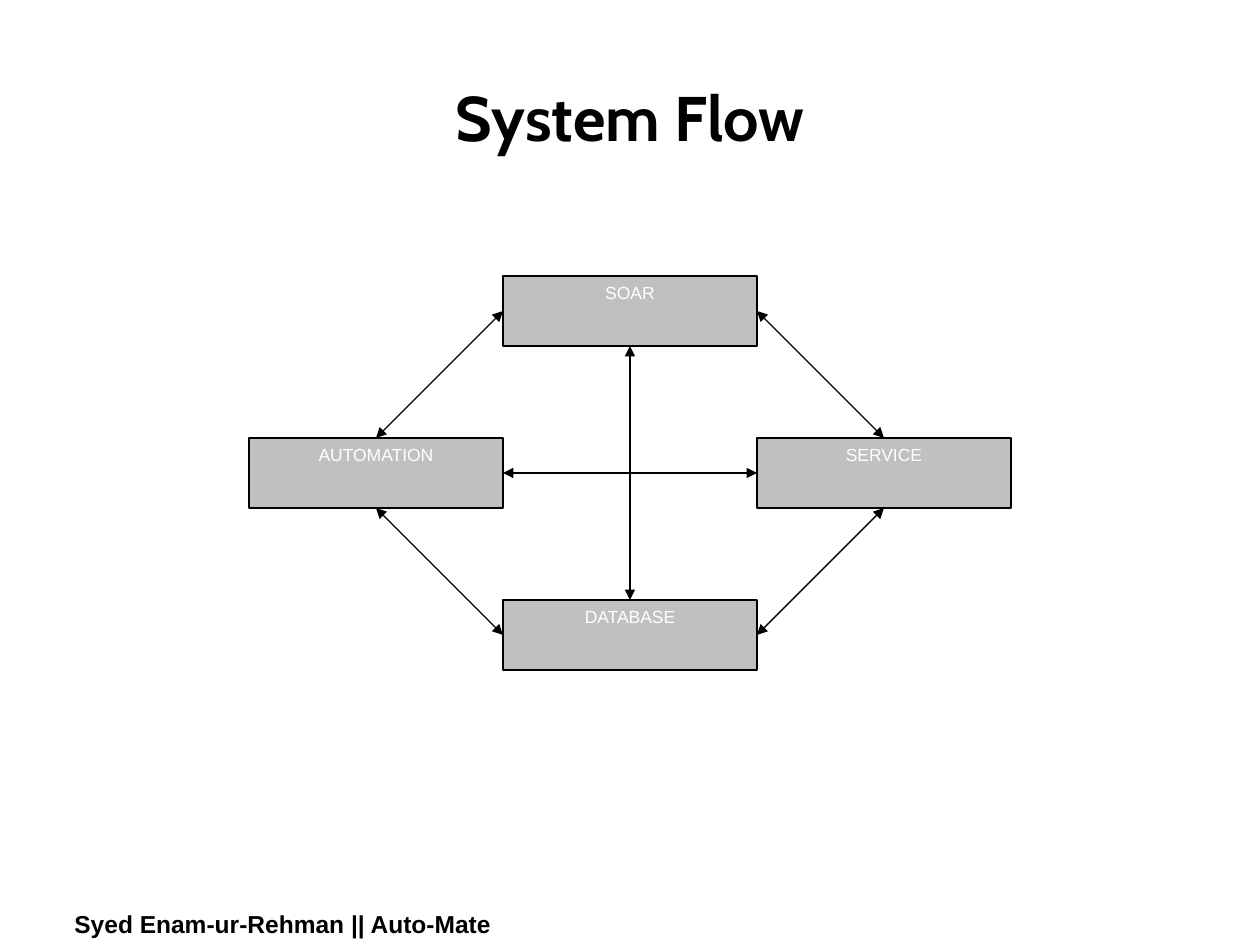
from pptx import Presentation, util as u
from pptx.dml.color import RGBColor
from pptx.enum import shapes, text
from pptx.oxml.ns import qn
from lxml import etree

COLORS = {"ink": "000000", "box": "C0C0C0", "label": "FFFFFF"}
PX = 914400 // 126
CENTER_X, CENTER_Y = 630, 473
BOX_W, BOX_H = 254, 70
STEP_X, STEP_Y = 254, 162
TOP, LEFT, BOTTOM, RIGHT = range(4)

TITLE = ("System Flow", (63, 38, 1134, 157), "Cabin", 36)
FOOTER = ("Syed Enam-ur-Rehman || Auto-Mate", (62, 903, 1134, 43), "Arial", 14)
NODES = [
    ("AUTOMATION", -1, 0),
    ("SOAR", 0, -1),
    ("SERVICE", 1, 0),
    ("DATABASE", 0, 1),
]
LINKS = [
    ("SOAR", BOTTOM, "DATABASE", TOP),
    ("AUTOMATION", RIGHT, "SERVICE", LEFT),
    ("SOAR", RIGHT, "SERVICE", TOP),
    ("SERVICE", BOTTOM, "DATABASE", RIGHT),
    ("SOAR", LEFT, "AUTOMATION", TOP),
    ("DATABASE", LEFT, "AUTOMATION", BOTTOM),
]


def color(name):
    return RGBColor.from_string(COLORS[name])


def write(sp, words, font, size, ink, bold=False,
          align=text.PP_ALIGN.CENTER, anchor=text.MSO_ANCHOR.TOP):
    tf = sp.text_frame
    tf.word_wrap = True
    tf.vertical_anchor = anchor
    p = tf.paragraphs[0]
    p.alignment = align
    r = p.add_run()
    r.text = words
    r.font.name, r.font.size, r.font.bold = font, u.Pt(size), bold
    r.font.color.rgb = color(ink)


def add_text(s, item, **style):
    words, place, font, size = item
    sp = s.shapes.add_textbox(*(v * PX for v in place))
    write(sp, words, font, size, "ink", bold=True, **style)


def add_node(s, name, col, row):
    left = CENTER_X + col * STEP_X - BOX_W // 2
    top = CENTER_Y + row * STEP_Y - BOX_H // 2
    sp = s.shapes.add_shape(shapes.MSO_SHAPE.RECTANGLE,
                            *(v * PX for v in (left, top, BOX_W, BOX_H)))
    sp.shadow.inherit = False
    sp.fill.solid()
    sp.fill.fore_color.rgb = color("box")
    sp.line.color.rgb = color("ink")
    sp.line.width = u.Pt(0.75)
    write(sp, name, "Arial", 10, "label")
    return sp


def add_link(s, start, start_side, end, end_side):
    link = s.shapes.add_connector(shapes.MSO_CONNECTOR.STRAIGHT, 0, 0, 0, 0)
    link.begin_connect(start, start_side)
    link.end_connect(end, end_side)
    link.line.color.rgb = color("ink")
    link.line.width = u.Pt(0.75)
    ln = link.line._get_or_add_ln()
    for tag in ("a:headEnd", "a:tailEnd"):
        etree.SubElement(ln, qn(tag), type="triangle")
    etree.SubElement(link._element.spPr, qn("a:effectLst"))


def main():
    prs = Presentation()
    prs.slide_width, prs.slide_height = u.Inches(10), u.Inches(7.5)
    s = prs.slides.add_slide(prs.slide_layouts[6])
    add_text(s, FOOTER, align=text.PP_ALIGN.LEFT)
    add_text(s, TITLE, anchor=text.MSO_ANCHOR.MIDDLE)
    boxes = {name: add_node(s, name, col, row) for name, col, row in NODES}
    for start, start_side, end, end_side in LINKS:
        add_link(s, boxes[start], start_side, boxes[end], end_side)
    prs.save("out.pptx")


if __name__ == "__main__":
    main()
